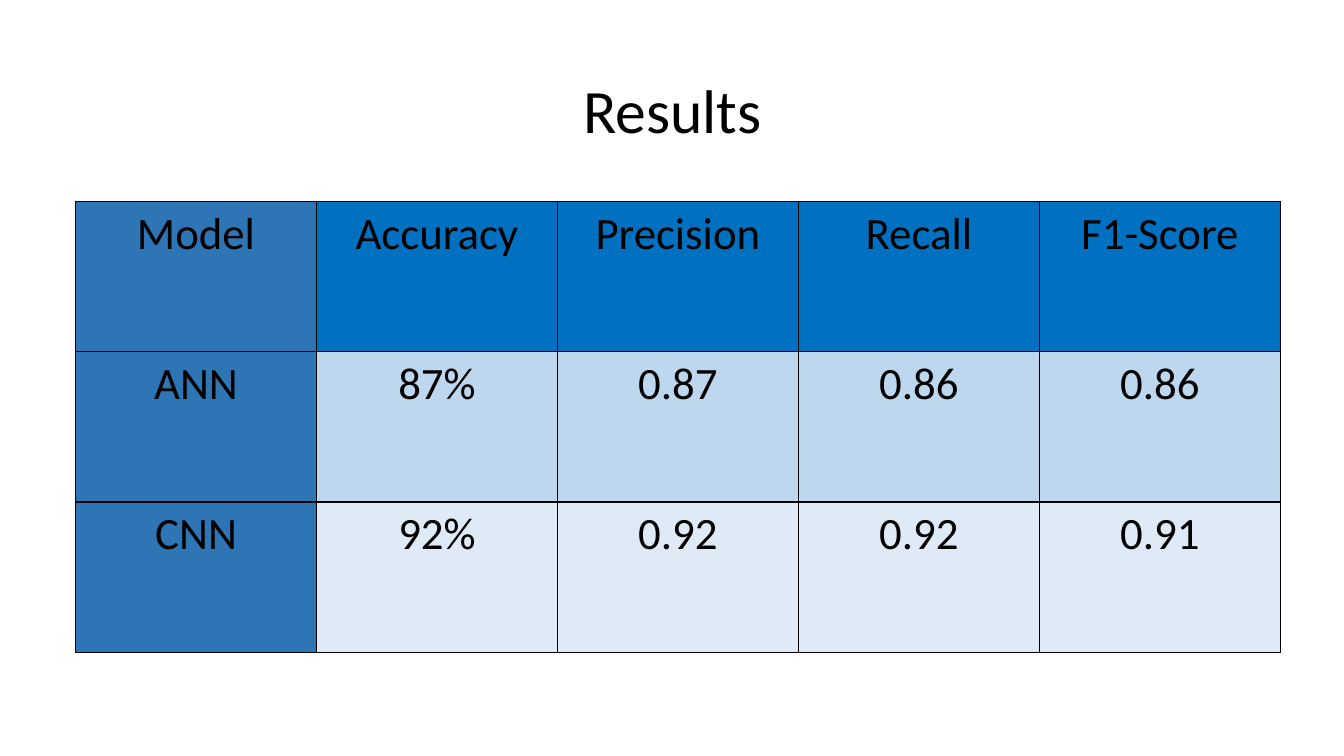
from lxml import etree
from pptx import Presentation
from pptx.dml.color import RGBColor
from pptx.enum.text import MSO_ANCHOR, PP_ALIGN
from pptx.oxml.ns import qn
from pptx.util import Inches, Pt

CENTER = PP_ALIGN.CENTER
MIDDLE = MSO_ANCHOR.MIDDLE

THEME = {
    "font": "Calibri",
    "title_size": 44,
    "cell_size": 32,
    "ink": "000000",
    "model_column": "2E75B6",
    "header": "0070C0",
    "bands": ["BDD7EE", "DEEBF7"],
    "border_width": 1,
}

RESULTS = [
    ["Model", "Accuracy", "Precision", "Recall", "F1-Score"],
    ["ANN", "87%", "0.87", "0.86", "0.86"],
    ["CNN", "92%", "0.92", "0.92", "0.91"],
]


def write_centered(frame, text, size):
    paragraph = frame.paragraphs[0]
    paragraph.alignment = CENTER
    run = paragraph.add_run()
    run.text = text
    run.font.name = THEME["font"]
    run.font.size = Pt(size)
    run.font.color.rgb = RGBColor.from_string(THEME["ink"])
    return paragraph


def draw_borders(cell):
    """Line all four sides; the schema wants these lines ahead of the fill."""
    properties = cell._tc.get_or_add_tcPr()
    for position, side in enumerate(["lnL", "lnR", "lnT", "lnB"]):
        line = etree.Element(qn(f"a:{side}"), w=str(Pt(THEME["border_width"])))
        fill = etree.SubElement(line, qn("a:solidFill"))
        etree.SubElement(fill, qn("a:srgbClr"), val=THEME["ink"])
        properties.insert(position, line)


prs = Presentation()
prs.slide_width = Inches(13.33)
prs.slide_height = Inches(7.5)
slide = prs.slides.add_slide(prs.slide_layouts[6])

# Title
title = slide.shapes.add_textbox(Inches(0.92), Inches(0.4), Inches(11.5), Inches(1.45))
title.text_frame.word_wrap = True
title.text_frame.vertical_anchor = MIDDLE
write_centered(title.text_frame, "Results", THEME["title_size"]).line_spacing = 0.9

# Model scores
column_width, row_height = Inches(2.39), Inches(1.49)
row_count, column_count = len(RESULTS), len(RESULTS[0])
scores = slide.shapes.add_table(
    row_count, column_count, Inches(0.75), Inches(2),
    column_count * column_width, row_count * row_height,
).table
for column in scores.columns:
    column.width = column_width
for row in scores.rows:
    row.height = row_height

row_colors = [THEME["header"], *THEME["bands"]]
for r, (values, row_color) in enumerate(zip(RESULTS, row_colors)):
    for c, value in enumerate(values):
        cell = scores.cell(r, c)
        cell.fill.solid()
        color = THEME["model_column"] if c == 0 else row_color
        cell.fill.fore_color.rgb = RGBColor.from_string(color)
        draw_borders(cell)
        write_centered(cell.text_frame, value, THEME["cell_size"]).runs[0].font.bold = False

prs.save("out.pptx")
